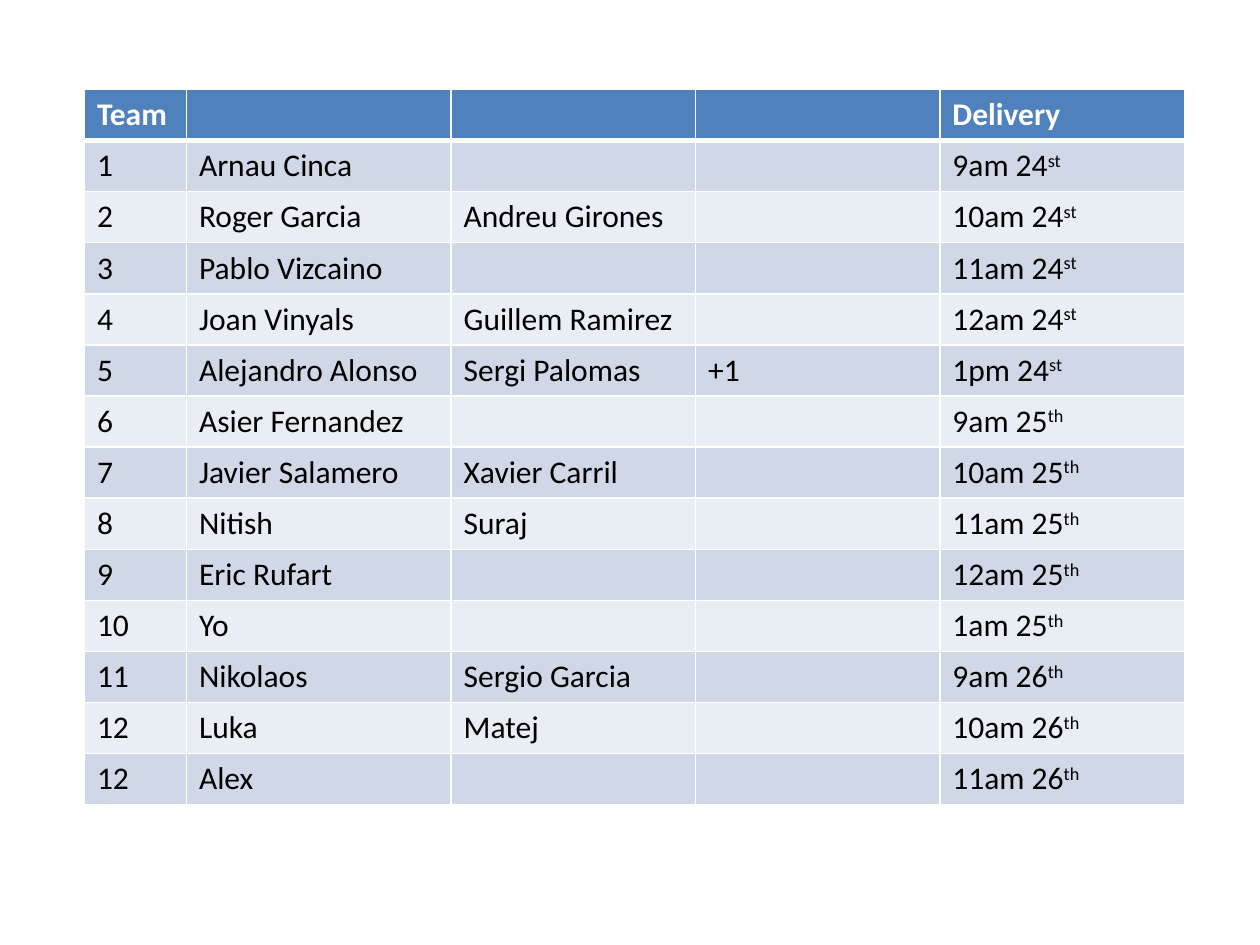
from typing import NamedTuple

from lxml import etree
from pptx import Presentation
from pptx import util as u
from pptx.dml.color import RGBColor
from pptx.oxml import ns

WHITE = RGBColor(0xFF, 0xFF, 0xFF)
BLACK = RGBColor(0, 0, 0)
BLUE = RGBColor(0x4F, 0x81, 0xBD)
BANDS = (RGBColor(0xE9, 0xED, 0xF4), RGBColor(0xD0, 0xD8, 0xE8))

FONT = "Calibri"
SIZE = u.Pt(18)
LEFT, TOP = 0.67, 0.71
COLS = (0.81, 2.1, 1.94, 1.94, 1.94)
ROW = 5.68 / 14


class Team(NamedTuple):
    """One project team and its delivery slot."""
    label: str
    hour: str
    day: str
    suffix: str
    members: tuple[str, ...]


TEAMS = (
    Team("1", "9am", "24", "st", ("Arnau Cinca",)),
    Team("2", "10am", "24", "st", ("Roger Garcia", "Andreu Girones")),
    Team("3", "11am", "24", "st", ("Pablo Vizcaino",)),
    Team("4", "12am", "24", "st", ("Joan Vinyals", "Guillem Ramirez")),
    Team("5", "1pm", "24", "st", ("Alejandro Alonso", "Sergi Palomas", "+1")),
    Team("6", "9am", "25", "th", ("Asier Fernandez",)),
    Team("7", "10am", "25", "th", ("Javier Salamero", "Xavier Carril")),
    Team("8", "11am", "25", "th", ("Nitish", "Suraj")),
    Team("9", "12am", "25", "th", ("Eric Rufart",)),
    Team("10", "1am", "25", "th", ("Yo",)),
    Team("11", "9am", "26", "th", ("Nikolaos", "Sergio Garcia")),
    Team("12", "10am", "26", "th", ("Luka", "Matej")),
    Team("12", "11am", "26", "th", ("Alex",)),
)


def edge(cell, sides: dict[str, float]) -> None:
    """Draw white borders, with a width in points for each side."""
    props = cell._tc.get_or_add_tcPr()
    for spot, (side, width) in enumerate(sides.items()):
        line = etree.Element(ns.qn(f"a:ln{side}"), w=str(u.Pt(width)))
        fill = etree.SubElement(line, ns.qn("a:solidFill"))
        etree.SubElement(fill, ns.qn("a:srgbClr"), val=str(WHITE))
        props.insert(spot, line)


def style(cell, row: int) -> None:
    """Give a cell its fill, borders and font."""
    head = row == 0
    cell.fill.solid()
    cell.fill.fore_color.rgb = BLUE if head else BANDS[row % 2]
    edge(cell, {"L": 1, "R": 1, "T": 3 if row == 1 else 1, "B": 3 if head else 1})
    for run in cell.text_frame.paragraphs[0].runs:
        run.font.name = FONT
        run.font.size = SIZE
        run.font.bold = head
        run.font.color.rgb = WHITE if head else BLACK


def raise_end(cell, suffix: str) -> None:
    """Add a superscript ending to a cell's text."""
    run = cell.text_frame.paragraphs[0].add_run()
    run.text = suffix
    run.font._element.set("baseline", "30000")


def fill_row(table, row: int, team: Team) -> None:
    """Write one team into a table row."""
    table.cell(row, 0).text_frame.text = team.label
    for col, name in enumerate(team.members, 1):
        table.cell(row, col).text_frame.text = name
    slot = table.cell(row, len(COLS) - 1)
    slot.text_frame.text = f"{team.hour} {team.day}"
    raise_end(slot, team.suffix)


def add_teams(slide) -> None:
    """Build the table of teams."""
    count = len(TEAMS) + 1
    frame = slide.shapes.add_table(
        count, len(COLS), u.Inches(LEFT), u.Inches(TOP),
        u.Inches(sum(COLS)), u.Inches(ROW * count))
    table = frame.table
    for col, width in zip(table.columns, COLS):
        col.width = u.Inches(width)
    table.cell(0, 0).text_frame.text = "Team"
    table.cell(0, len(COLS) - 1).text_frame.text = "Delivery"
    for row, team in enumerate(TEAMS, 1):
        fill_row(table, row, team)
    for row in range(count):
        table.rows[row].height = u.Inches(ROW)
        for col in range(len(COLS)):
            style(table.cell(row, col), row)


def main() -> None:
    """Build and save the slide."""
    deck = Presentation()
    deck.slide_width, deck.slide_height = u.Inches(10), u.Inches(7.5)
    add_teams(deck.slides.add_slide(deck.slide_layouts[6]))
    deck.save("out.pptx")


main()
